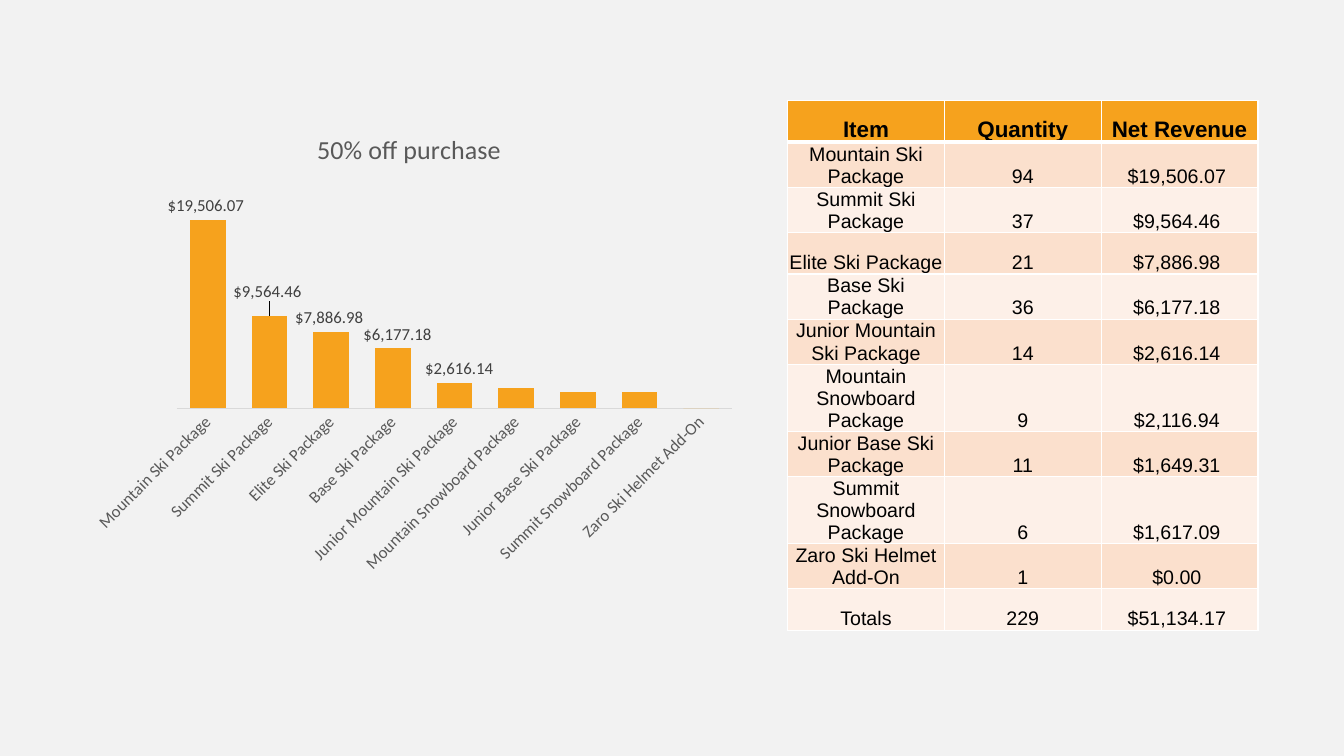
import pptx
import pptx.util
import pptx.chart.data
import pptx.dml.color
import pptx.enum.chart
import pptx.enum.text
import pptx.oxml
import pptx.oxml.ns

ORANGE = pptx.dml.color.RGBColor(0xF6, 0xA2, 0x1D)
PEACH = pptx.dml.color.RGBColor(0xFB, 0xE0, 0xCD)
CREAM = pptx.dml.color.RGBColor(0xFD, 0xF0, 0xE8)
BACKGROUND = pptx.dml.color.RGBColor(0xF2, 0xF2, 0xF2)
BLACK = pptx.dml.color.RGBColor(0x00, 0x00, 0x00)
TITLE_GRAY = pptx.dml.color.RGBColor(0x59, 0x59, 0x59)
LABEL_GRAY = pptx.dml.color.RGBColor(0x40, 0x40, 0x40)
AXIS_GRAY = pptx.dml.color.RGBColor(0xD9, 0xD9, 0xD9)

WIDTH, HEIGHT = pptx.util.Inches(13.33), pptx.util.Inches(7.5)
MONEY = '"$"#,##0.00" ";[Red]("$"#,##0.00)'
HEADINGS = ("Item", "Quantity", "Net Revenue")
SALES = [
    ("Mountain Ski Package", 94, 19506.07),
    ("Summit Ski Package", 37, 9564.46),
    ("Elite Ski Package", 21, 7886.98),
    ("Base Ski Package", 36, 6177.18),
    ("Junior Mountain Ski Package", 14, 2616.14),
    ("Mountain Snowboard Package", 9, 2116.94),
    ("Junior Base Ski Package", 11, 1649.31),
    ("Summit Snowboard Package", 6, 1617.09),
    ("Zaro Ski Helmet Add-On", 1, 0),
]
# Shifts of single value labels, as shares of the chart
LABEL_SHIFTS = {1: (0, -0.02), 3: (0.01, 0), 4: (0.01, 0)}
LABELLED_BARS = 5


def assign(target, values):
    for name, value in values.items():
        setattr(target, name, value)


def style_font(font, face, size, color, bold=False):
    assign(font, {"name": face, "size": pptx.util.Pt(size), "bold": bold})
    font.color.rgb = color


def chart_layout(**values):
    """Manual layout for a chart part; values keep their order."""
    inner = "".join(f'<c:{name} val="{value}"/>' for name, value in values.items())
    return pptx.oxml.parse_xml(
        f'<c:layout {pptx.oxml.ns.nsdecls("c")}>'
        f"<c:manualLayout>{inner}</c:manualLayout></c:layout>")


def place_part(part, index, **values):
    for old in part.xpath("./c:layout"):
        part.remove(old)
    part.insert(index, chart_layout(**values))


def label_bars(series):
    labels = series.data_labels
    outside = pptx.enum.chart.XL_LABEL_POSITION.OUTSIDE_END
    assign(labels, {"show_value": True, "position": outside,
                    "number_format": MONEY, "number_format_is_linked": False})
    style_font(labels.font, "Calibri", 12, LABEL_GRAY)
    for index in range(len(SALES)):
        hidden = index >= LABELLED_BARS
        if not hidden and index not in LABEL_SHIFTS:
            continue
        label = series.points[index].data_label
        label.position = outside
        style_font(label.font, "Calibri", 12, LABEL_GRAY)
        node = labels._element.xpath(f'./c:dLbl[c:idx/@val="{index}"]')[0]
        if hidden:
            for child in list(node)[1:]:
                node.remove(child)
            node.append(pptx.oxml.parse_xml(
                f'<c:delete {pptx.oxml.ns.nsdecls("c")} val="1"/>'))
        else:
            across, down = LABEL_SHIFTS[index]
            place_part(node, 1, x=across, y=down)


def add_revenue_chart(page, left, top, width, height):
    data = pptx.chart.data.CategoryChartData(number_format=MONEY)
    data.categories = [item for item, _, _ in SALES]
    data.add_series("Series 1", [revenue for _, _, revenue in SALES])
    chart = page.shapes.add_chart(
        pptx.enum.chart.XL_CHART_TYPE.COLUMN_CLUSTERED,
        left, top, width, height, data).chart
    style_font(chart.font, "Calibri", 10, BLACK)
    assign(chart, {"has_legend": False, "has_title": True})

    # Title
    para = chart.chart_title.text_frame.paragraphs[0]
    span = para.add_run()
    span.text = "50% off purchase"
    style_font(span.font, "Calibri", 18.6, TITLE_GRAY)
    place_part(chart.element.xpath("./c:chart/c:title")[0], 1,
               xMode="edge", yMode="edge", x=0.36, y=0.05)

    # Bars
    plot = chart.plots[0]
    assign(plot, {"gap_width": 73, "overlap": -1, "vary_by_categories": False})
    series = plot.series[0]
    series.format.fill.solid()
    series.format.fill.fore_color.rgb = ORANGE
    label_bars(series)
    place_part(chart.element.xpath("./c:chart/c:plotArea")[0], 0,
               layoutTarget="inner", xMode="edge", yMode="edge",
               x=0.153, y=0.13, w=0.847, h=0.474)

    # Axes
    assign(chart.value_axis, {"visible": False, "has_major_gridlines": False,
                              "minimum_scale": 0, "maximum_scale": 25000})
    axis = chart.category_axis
    axis.major_tick_mark = pptx.enum.chart.XL_TICK_MARK.NONE
    axis.format.line.color.rgb = AXIS_GRAY
    axis.format.line.width = pptx.util.Pt(0.75)
    style_font(axis.tick_labels.font, "Calibri", 12, TITLE_GRAY)
    axis_body = chart.element.xpath(".//c:catAx/c:txPr/a:bodyPr")[0]
    axis_body.set("rot", "-2700000")
    axis_body.set("vert", "horz")


def outline_cell(cell, bottom):
    properties = cell._tc.get_or_add_tcPr()
    for index, (side, points) in enumerate(
            {"L": 1, "R": 1, "T": 1, "B": bottom}.items()):
        properties.insert(index, pptx.oxml.parse_xml(
            f'<a:ln{side} {pptx.oxml.ns.nsdecls("a")} w="{pptx.util.Pt(points)}">'
            f'<a:solidFill><a:srgbClr val="FFFFFF"/></a:solidFill></a:ln{side}>'))


def fill_cell(cell, text, fill, size=14, bold=False, bottom=1):
    edge = pptx.util.Inches(0.01)
    assign(cell, {"margin_left": edge, "margin_right": edge,
                  "margin_top": edge, "margin_bottom": 0,
                  "vertical_anchor": pptx.enum.text.MSO_ANCHOR.BOTTOM})
    cell.fill.solid()
    cell.fill.fore_color.rgb = fill
    outline_cell(cell, bottom)
    para = cell.text_frame.paragraphs[0]
    para.alignment = pptx.enum.text.PP_ALIGN.CENTER
    span = para.add_run()
    span.text = text
    style_font(span.font, "Arial", size, BLACK, bold)


def add_sales_table(page, left, top, width, row_height):
    totals = ("Totals", sum(sale[1] for sale in SALES), sum(sale[2] for sale in SALES))
    rows = [*SALES, totals]
    table = page.shapes.add_table(len(rows) + 1, len(HEADINGS), left, top,
                                  width, row_height * (len(rows) + 1)).table
    for column, heading in enumerate(HEADINGS):
        fill_cell(table.cell(0, column), heading, ORANGE, 16, True, 3)
    for row, (item, quantity, revenue) in enumerate(rows, 1):
        fill = PEACH if row % 2 else CREAM
        for column, text in enumerate((item, str(quantity), f"${revenue:,.2f} ")):
            fill_cell(table.cell(row, column), text, fill)


def main():
    deck = pptx.Presentation()
    assign(deck, {"slide_width": WIDTH, "slide_height": HEIGHT})
    page = deck.slides.add_slide(deck.slide_layouts[6])
    page.background.fill.solid()
    page.background.fill.fore_color.rgb = BACKGROUND

    # Chart on the left, table on the right, sharing a top edge
    top = int(HEIGHT * 2 / 15)
    add_revenue_chart(page, int(WIDTH * 0.057), top,
                      int(WIDTH * 0.488), int(HEIGHT * 0.673))
    add_sales_table(page, int(WIDTH * 0.586), top,
                    int(WIDTH * 0.35), int(HEIGHT * 0.055))
    deck.save("out.pptx")


if __name__ == "__main__":
    main()
